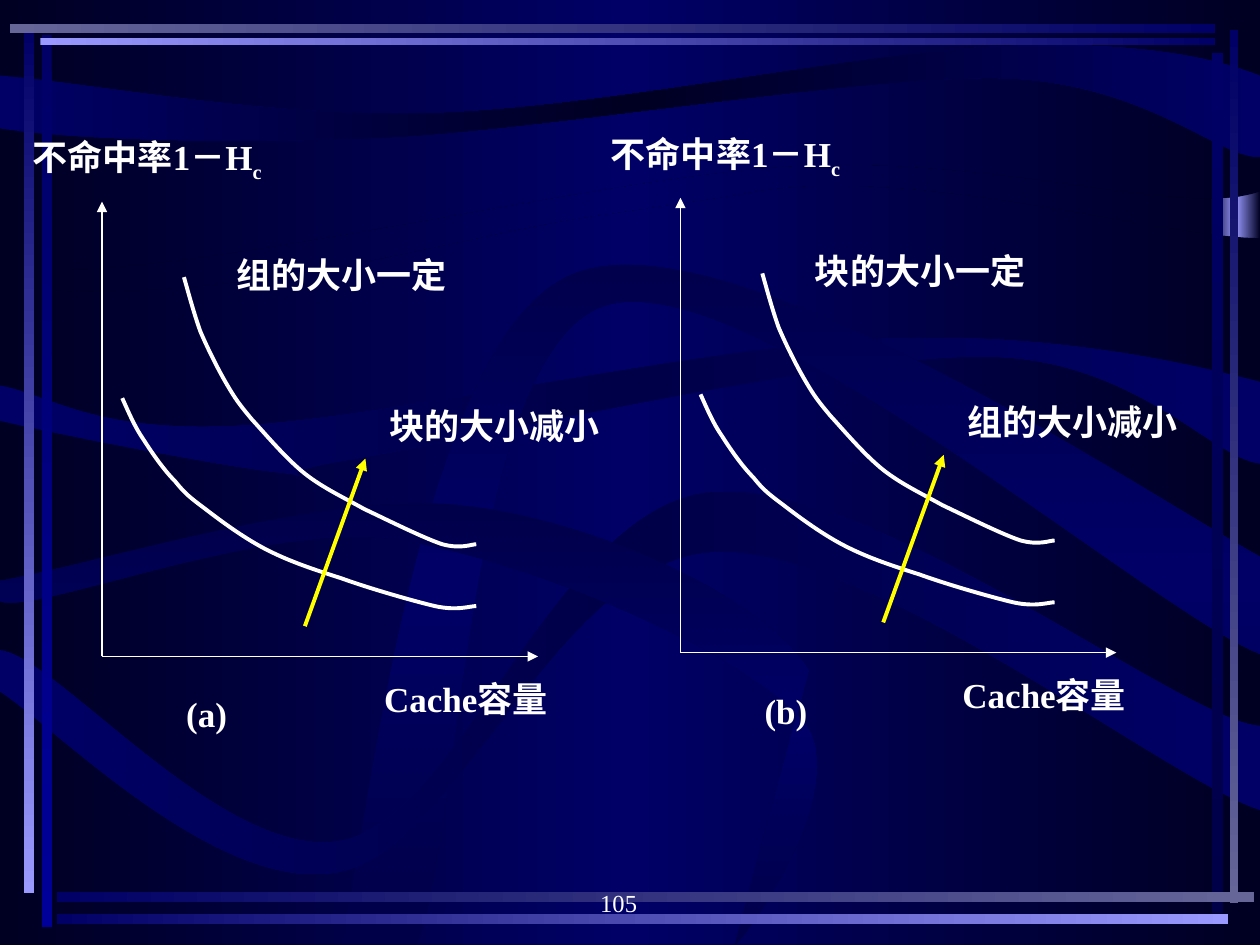
from copy import deepcopy

from lxml import etree
from pptx import Presentation
from pptx import util as u
from pptx.dml.color import RGBColor
from pptx.enum import shapes, text
from pptx.oxml.ns import qn

NIGHT, NAVY, DEEP = "000022", "000066", "000048"
LILAC, SLATE, BLUE = "9999FF", "666699", "000099"
WHITE, YELLOW = "FFFFFF", "FFFF00"
ACROSS, DOWN = 0, 270  # gradient directions, counter-clockwise degrees


def color(value):
    return RGBColor.from_string(value)


def add_text(para, words, size=20, bold=True, ink=WHITE, baseline=0):
    span = para.add_run()
    span.text = words
    span.font.name = "Times New Roman"
    span.font.size = u.Pt(size)
    span.font.bold = bold
    span.font.color.rgb = color(ink)
    if baseline:
        span.font._element.set("baseline", str(baseline * 1000))


class SlideMaker:
    def __init__(self, page):
        self.page = page

    def gradient(self, fill, holder, colors, angle):
        fill.gradient()
        fill.gradient_angle = angle
        stops = next(holder.iter(qn("a:gsLst")))
        while len(stops) < len(colors):
            stops.append(deepcopy(stops[0]))
        for index, (stop, value) in enumerate(zip(fill.gradient_stops, colors)):
            stop.color.rgb = color(value)
            stop.position = index / (len(colors) - 1)

    def background(self, colors, angle=ACROSS):
        self.gradient(self.page.background.fill, self.page._element, colors, angle)

    def bar(self, left, top, width, height, colors, angle):
        bar = self.page.shapes.add_shape(
            shapes.MSO_SHAPE.RECTANGLE, *map(u.Inches, (left, top, width, height)))
        bar.shadow.inherit = False
        bar.line.fill.background()
        self.gradient(bar.fill, bar._element, colors, angle)

    def freeform(self, start, pieces, close, dx=0, dy=0):
        """Pieces of two numbers are straight lines, pieces of six are curves."""
        def place(x, y):
            return u.Inches(x + dx), u.Inches(y + dy)

        builder = self.page.shapes.build_freeform(*place(*start))
        for piece in pieces:
            builder.add_line_segments(
                [place(*pair) for pair in zip(piece[::2], piece[1::2])], close=False)
        if close:
            builder.add_line_segments([], close=True)
        shape = builder.convert_to_shape()
        shape.shadow.inherit = False
        # Join each three control points into one curve
        segments = iter(list(shape._element.iter(qn("a:lnTo"))))
        for piece in pieces:
            parts = [next(segments) for _ in piece[::2]]
            if len(parts) == 3:
                bend = etree.Element(qn("a:cubicBezTo"))
                parts[0].addprevious(bend)
                for part in parts:
                    bend.append(part[0])
                    part.getparent().remove(part)
        return shape

    def wave(self, start, pieces, colors, angle=ACROSS):
        shape = self.freeform(start, pieces, True)
        shape.line.fill.background()
        self.gradient(shape.fill, shape._element, colors, angle)

    def curve(self, start, pieces, dx, dy):
        shape = self.freeform(start, pieces, False, dx, dy)
        shape.fill.background()
        shape.line.color.rgb = color(WHITE)
        shape.line.width = u.Pt(2.25)

    def arrow(self, start, end, ink=WHITE, width=0.75):
        arrow = self.page.shapes.add_connector(
            shapes.MSO_CONNECTOR.STRAIGHT, *map(u.Inches, (*start, *end)))
        arrow.line.color.rgb = color(ink)
        arrow.line.width = u.Pt(width)
        etree.SubElement(arrow.line._get_or_add_ln(), qn("a:tailEnd"), type="triangle")
        etree.SubElement(arrow._element.spPr, qn("a:effectLst"))

    def label(self, left, top, width, words, height=0.44, subscript=""):
        box = self.page.shapes.add_textbox(*map(u.Inches, (left, top, width, height)))
        box.text_frame.word_wrap = False
        box.text_frame.auto_size = text.MSO_AUTO_SIZE.SHAPE_TO_FIT_TEXT
        para = box.text_frame.paragraphs[0]
        add_text(para, words)
        if subscript:
            add_text(para, subscript, baseline=-25)

    def page_number(self, words):
        box = self.page.shapes.add_textbox(*map(u.Inches, (3.75, 6.83, 2.08, 0.5)))
        box.text_frame.word_wrap = True
        box.text_frame.vertical_anchor = text.MSO_ANCHOR.BOTTOM
        para = box.text_frame.paragraphs[0]
        para.alignment = text.PP_ALIGN.CENTER
        para._p.get_or_add_pPr().set("marL", str(u.Inches(0.24)))
        add_text(para, words, size=14, bold=False)


UPPER_CURVE = (1.46, 2.2), [
    (1.5, 2.34, 1.54, 2.49, 1.59, 2.63), (1.65, 2.77, 1.73, 2.93, 1.8, 3.05),
    (1.87, 3.17, 1.9, 3.21, 2, 3.33), (2.11, 3.45, 2.27, 3.64, 2.42, 3.76),
    (2.56, 3.87, 2.71, 3.94, 2.89, 4.04), (3.08, 4.13, 3.36, 4.27, 3.51, 4.32),
    (3.66, 4.36, 3.74, 4.32, 3.78, 4.32)]
LOWER_CURVE = (0.97, 3.16), [
    (1.02, 3.27, 1.07, 3.39, 1.14, 3.49), (1.21, 3.6, 1.3, 3.73, 1.39, 3.82),
    (1.47, 3.92, 1.51, 3.95, 1.63, 4.04), (1.76, 4.14, 1.95, 4.28, 2.13, 4.37),
    (2.31, 4.46, 2.49, 4.52, 2.71, 4.59), (2.93, 4.67, 3.28, 4.77, 3.45, 4.81),
    (3.63, 4.85, 3.73, 4.81, 3.78, 4.81)]


def draw_backdrop(maker):
    ring = (NIGHT, NAVY, NIGHT)
    maker.background(ring)
    maker.bar(9.61, 0.49, 0.39, 3.45, (NIGHT, LILAC, NIGHT), ACROSS)
    # Broad upper and lower fields
    maker.wave((0, 0), [(10, 0), (10, 1.52), (9.38, 1.74, 7.92, 1.22, 6.25, 1.32),
                        (4.58, 1.42, 1.04, 2.33, 0, 2.11), (0, 0)], ring)
    maker.wave((0, 2.28), [(1.78, 2.45, 3.4, 1.94, 4.58, 1.74),
                           (4.58, 1.74, 5.67, 1.58, 5.86, 1.55),
                           (7.15, 1.27, 9.17, 1.89, 10, 1.89), (10, 7.5), (0, 7.5),
                           (0, 7.5, 0, 2.28, 0, 2.28)], ring)
    # Ribbons
    maker.wave((0, 0.6), [
        (0, 1.02), (0.51, 1.1, 1.76, 1.15, 3.08, 1.09), (4.4, 1.02, 6.79, 0.6, 7.94, 0.62),
        (9.09, 0.65, 9.66, 1.25, 10, 1.25), (10, 0.6), (9.65, 0.46, 9.01, 0.32, 7.92, 0.37),
        (6.82, 0.42, 4.77, 0.86, 3.45, 0.9), (2.13, 0.94, 0.72, 0.66, 0, 0.6)],
        (NAVY, NIGHT, NAVY))
    maker.wave((0, 3.06), [
        (0, 3.34), (0.37, 3.43, 1.75, 3.7, 2.22, 3.75), (2.69, 3.8, 1.9, 3.79, 2.82, 3.64),
        (3.75, 3.48, 6.6, 2.82, 7.8, 2.83), (9, 2.83, 9.63, 3.65, 10, 3.68), (10, 3.03),
        (9.5, 2.9, 8.36, 2.63, 7.01, 2.69), (5.66, 2.74, 3.07, 3.32, 1.9, 3.38),
        (0.73, 3.44, 0.4, 3.13, 0, 3.06)], (NAVY, DEEP, NAVY))
    maker.wave((2.71, 7.5), [
        (2.91, 6.61, 3.32, 2.69, 4.54, 2.18), (5.75, 1.66, 9.09, 3.92, 10, 4.42), (10, 5.19),
        (9.13, 4.85, 5.91, 2.05, 4.79, 2.43), (3.68, 2.82, 3.66, 6.66, 3.31, 7.5),
        (2.71, 7.5)], (DEEP, NAVY, DEEP), DOWN)
    maker.wave((0, 5.16), [
        (0, 5.49), (0.45, 5.78, 1.74, 7.11, 2.69, 6.92), (3.63, 6.74, 4.43, 4.46, 5.65, 4.38),
        (6.87, 4.29, 9.27, 6.2, 10, 6.43), (10, 5.76), (9.38, 5.72, 6.91, 3.77, 5.62, 3.91),
        (4.41, 4.06, 3.67, 6.46, 2.73, 6.67), (1.79, 6.87, 0.45, 5.2, 0, 5.16)],
        (NAVY, DEEP, NAVY))
    maker.wave((0, 4.61), [
        (0, 4.77), (0.26, 4.89, 2.08, 4.13, 3.14, 4.28), (4.2, 4.44, 5.92, 5.18, 6.37, 5.72),
        (6.82, 6.25, 5.82, 7.57, 5.83, 7.5), (6.42, 5.32),
        (6.06, 4.74, 4.73, 4.13, 3.66, 4.01), (2.59, 3.89, 0.76, 4.48, 0, 4.61)],
        (DEEP, NAVY, DEEP), DOWN)
    # Double frame: left, right, bottom, top
    for *place, colors, angle in (
            (0.33, 0.28, 0.08, 7.08, (NAVY, BLUE), DOWN),
            (0.19, 0.25, 0.08, 6.84, (NAVY, LILAC), DOWN),
            (9.76, 0.24, 0.07, 6.93, (NAVY, SLATE), DOWN),
            (9.62, 0.42, 0.09, 6.83, (NAVY, DEEP), DOWN),
            (0.45, 7.08, 9.5, 0.08, (NAVY, SLATE), ACROSS),
            (0.45, 7.25, 9.3, 0.08, (NAVY, LILAC), ACROSS),
            (0.32, 0.3, 9.32, 0.06, (LILAC, NAVY), ACROSS),
            (0.08, 0.19, 9.56, 0.07, (SLATE, NAVY), ACROSS)):
        maker.bar(*place, colors, angle)


def draw_graph(maker, dx, dy, fixed, shrinking, caption):
    def at(x, y):
        return x + dx, y + dy

    # Axes
    origin = at(0.81, 5.21)
    maker.arrow(origin, at(4.27, 5.21))
    maker.arrow(origin, at(0.81, 1.6))
    maker.label(*at(0.16, 1.03), 2.22, "不命中率1－H", height=0.48, subscript="c")
    maker.label(*at(2.95, 5.33), 1.6, "Cache容量")
    # Curves and direction of change
    for start, pieces in (UPPER_CURVE, LOWER_CURVE):
        maker.curve(start, pieces, dx, dy)
    maker.arrow(at(2.42, 4.97), at(2.9, 3.64), YELLOW, 2.25)
    maker.label(*at(1.78, 1.96), 1.87, fixed)
    maker.label(*at(2.99, 3.16), 1.87, shrinking)
    maker.label(*at(1.38, 5.45), 0.56, caption)


def main():
    deck = Presentation()
    deck.slide_width, deck.slide_height = u.Inches(10), u.Inches(7.5)
    maker = SlideMaker(deck.slides.add_slide(deck.slide_layouts[6]))
    draw_backdrop(maker)
    draw_graph(maker, 0, 0, "组的大小一定", "块的大小减小", "(a)")
    draw_graph(maker, 4.59, -0.03, "块的大小一定", "组的大小减小", "(b)")
    maker.page_number("105")
    deck.save("out.pptx")


if __name__ == "__main__":
    main()
